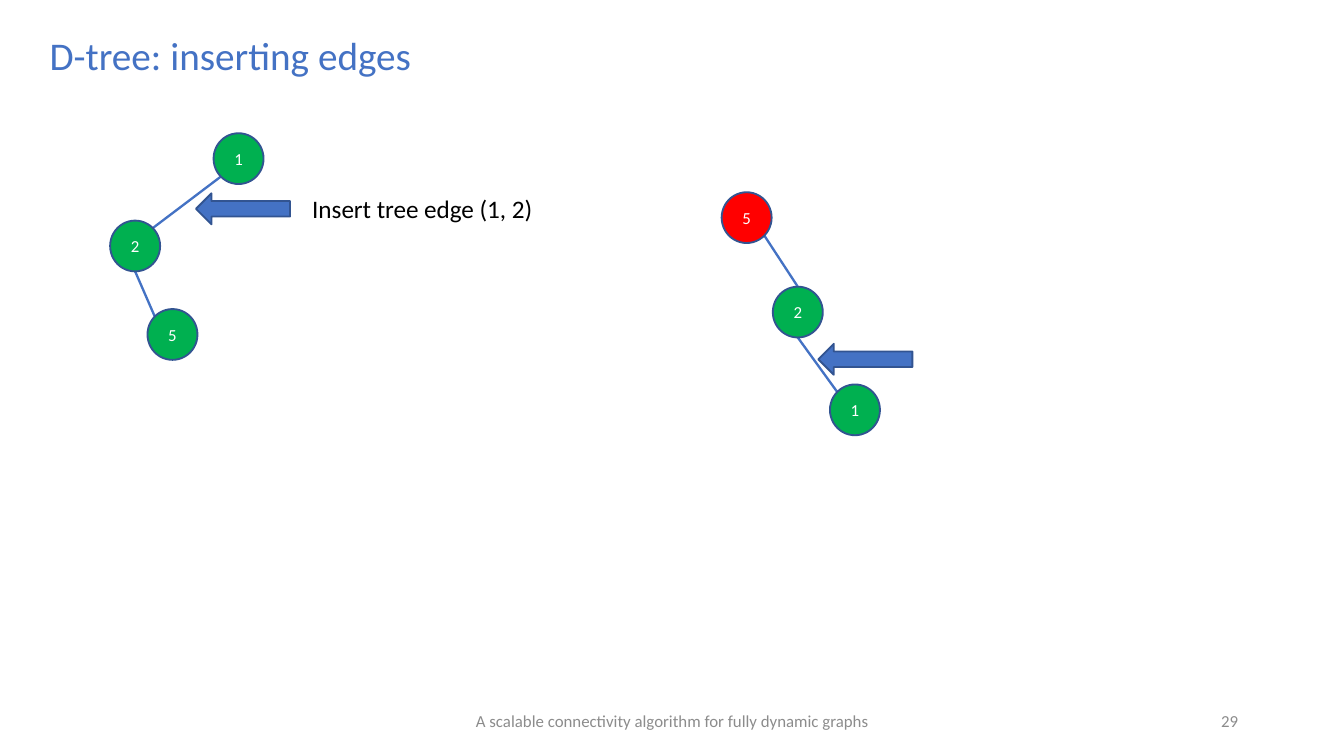
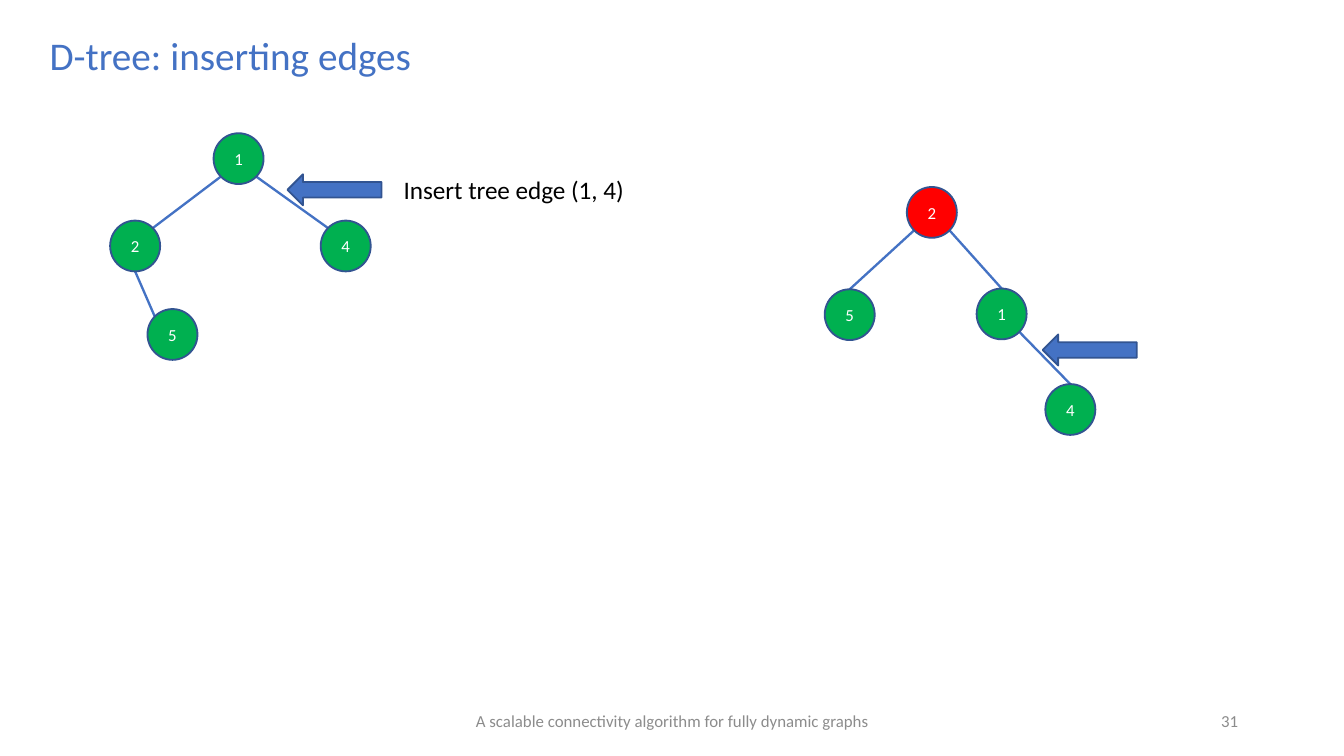
import math

import pptx
import pptx.dml.color
import pptx.enum.shapes
import pptx.enum.text
import pptx.util
from lxml import etree

Pt = pptx.util.Pt
RGB = pptx.dml.color.RGBColor
SHAPE = pptx.enum.shapes.MSO_SHAPE
ALIGN = pptx.enum.text.PP_ALIGN
ANCHOR = pptx.enum.text.MSO_ANCHOR
FIT = pptx.enum.text.MSO_AUTO_SIZE

BLUE = RGB(0x44, 0x72, 0xC4)
NAVY = RGB(0x32, 0x54, 0x91)
GREEN = RGB(0x00, 0xB0, 0x50)
RED = RGB(0xFF, 0x00, 0x00)
GRAY = RGB(0x8C, 0x8C, 0x8C)
WHITE = RGB(0xFF, 0xFF, 0xFF)
BLACK = RGB(0x00, 0x00, 0x00)

FONT = "Calibri"
TITLE = "D-tree: inserting edges"
FOOTER = "A scalable connectivity algorithm for fully dynamic graphs"
NODE_W, NODE_H = 26.8, 27.2
ARROW_W, ARROW_H = 50.4, 16.6

# Sites on a node's rim, as angles counted anticlockwise from the right.
TOP, TOP_L, BOT_L, BOT, BOT_R, TOP_R = 90, 135, 225, 270, 315, 45


def set_text(shape, text, size=9, color=WHITE, align=ALIGN.CENTER,
             anchor=ANCHOR.MIDDLE, wrap=True, grow=False):
    """Write one formatted line of text into a shape."""
    frame = shape.text_frame
    frame.text = text
    frame.word_wrap = wrap
    frame.auto_size = FIT.SHAPE_TO_FIT_TEXT if grow else FIT.NONE
    frame.vertical_anchor = anchor
    line = frame.paragraphs[0]
    line.alignment = align
    font = line.runs[0].font
    font.name, font.size = FONT, Pt(size)
    font.color.rgb = color


def add_text(slide, text, box, **style):
    """Add a text box at box (left, top, width, height)."""
    shape = slide.shapes.add_textbox(*map(Pt, box))
    set_text(shape, text, **style)


def add_shape(slide, kind, box, fill):
    """Add a filled, outlined shape without a shadow."""
    shape = slide.shapes.add_shape(kind, *map(Pt, box))
    shape.shadow.inherit = False
    shape.fill.solid()
    shape.fill.fore_color.rgb = fill
    shape.line.color.rgb = NAVY
    shape.line.width = Pt(1)
    return shape


def find_site(node, angle):
    """Return the point on a node's rim at the given angle."""
    turn = math.radians(angle)
    return (Pt(node[0] + NODE_W / 2 * (1 + math.cos(turn))),
            Pt(node[1] + NODE_H / 2 * (1 - math.sin(turn))))


def add_edge(slide, start, end):
    """Join two points with a plain line."""
    edge = slide.shapes.add_connector(
        pptx.enum.shapes.MSO_CONNECTOR.STRAIGHT, *start, *end)
    edge.line.color.rgb = BLUE
    edge.line.width = Pt(1.25)
    etree.SubElement(edge.element.spPr, pptx.oxml.ns.qn("a:effectLst"))


def add_tree(slide, left, top, nodes, edges, arrow, root=GREEN, label=None):
    """Draw a tree from its corner; the first node listed is the root."""
    spots = {name: (left + x, top + y) for name, (x, y) in nodes.items()}
    for head, out, tail, into in edges:
        add_edge(slide, find_site(spots[head], out),
                 find_site(spots[tail], into))
    for index, (name, spot) in enumerate(spots.items()):
        fill = GREEN if index else root
        node = add_shape(slide, SHAPE.OVAL, (*spot, NODE_W, NODE_H), fill)
        set_text(node, name)
    x, y = left + arrow[0], top + arrow[1]
    add_shape(slide, SHAPE.LEFT_ARROW, (x, y, ARROW_W, ARROW_H), BLUE)
    if label:
        add_text(slide, label, (x + 55.2, y - 3.6, 134.6, 23.8), size=13.5,
                 color=BLACK, align=ALIGN.LEFT, anchor=ANCHOR.TOP,
                 wrap=False, grow=True)


def add_slide(deck, number):
    """Add a slide with the shared title, footer and page number."""
    slide = deck.slides.add_slide(deck.slide_layouts[5])
    title = slide.shapes.title
    title.left, title.top, title.width, title.height = map(
        Pt, (19.4, 13, 211, 32.4))
    set_text(title, TITLE, size=21, color=BLUE, align=ALIGN.LEFT,
             anchor=ANCHOR.TOP, wrap=False, grow=True)
    add_text(slide, FOOTER, (238.4, 375.2, 243.2, 21.6), color=GRAY)
    add_text(slide, number, (508.4, 375.2, 162, 21.6), color=GRAY,
             align=ALIGN.RIGHT)
    return slide


def main():
    """Build both steps of the edge insertion."""
    deck = pptx.Presentation()
    deck.slide_width, deck.slide_height = Pt(720), Pt(405)

    graph = {"1": (55.4, 0), "2": (0, 46.8), "5": (20, 94.2)}
    links = [("1", BOT_L, "2", TOP_R), ("2", BOT, "5", TOP_L)]

    first = add_slide(deck, "29")
    add_tree(first, 59, 71.4, graph, links, (46, 32.2),
             label="Insert tree edge (1, 2)")
    add_tree(first, 386.6, 103,
             {"5": (0, 0), "2": (27.4, 50.6), "1": (58, 103)},
             [("5", BOT_R, "2", TOP), ("2", BOT, "1", TOP_L)],
             (51.8, 81.2), root=RED)

    second = add_slide(deck, "31")
    add_tree(second, 59, 71.4, {**graph, "4": (112.8, 46.8)},
             links + [("1", BOT_R, "4", TOP_L)], (95, 22),
             label="Insert tree edge (1, 4)")
    add_tree(second, 441.8, 100.2,
             {"2": (44, 0), "5": (0, 54.8), "1": (81.4, 54.4),
              "4": (118.2, 105.6)},
             [("2", BOT_L, "5", TOP), ("2", BOT_R, "1", TOP),
              ("1", BOT_R, "4", TOP)],
             (116.8, 79), root=RED)

    deck.save("out.pptx")


main()
